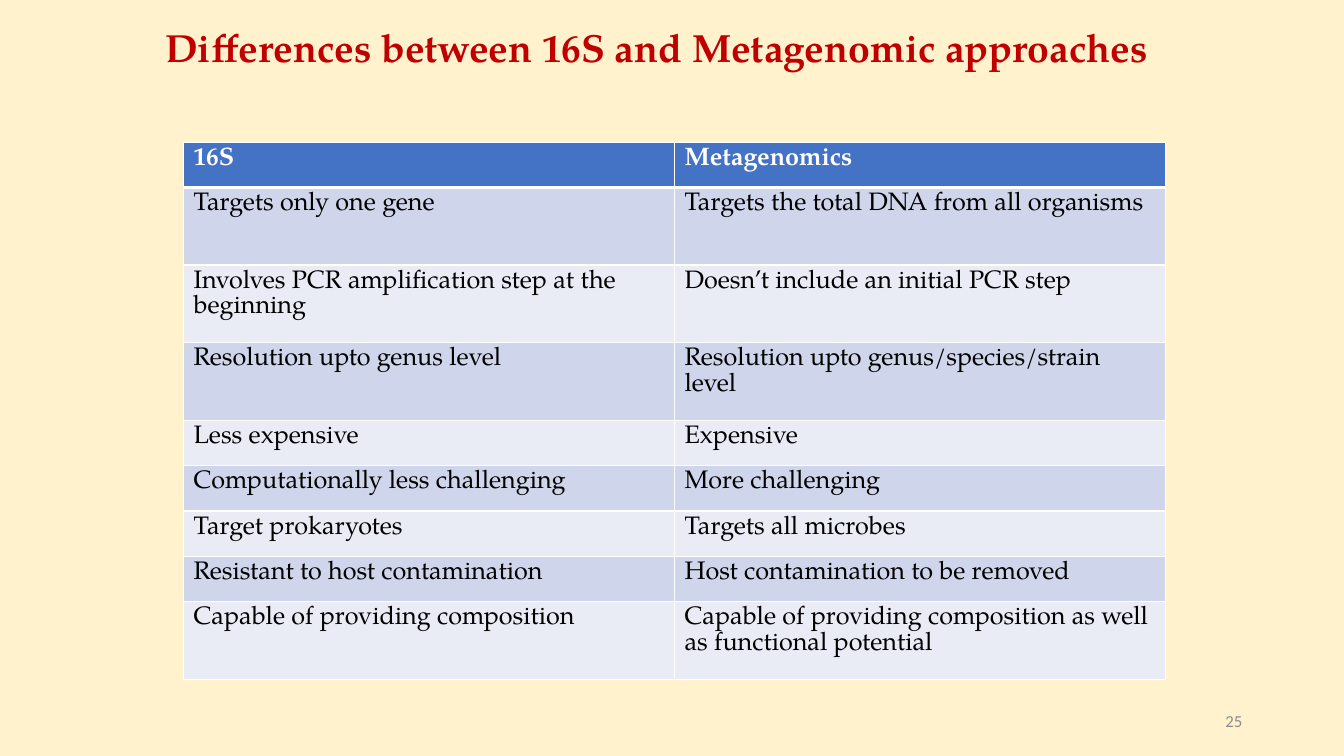
"""Build a slide comparing 16S and metagenomic approaches."""
import dataclasses

import lxml.etree
import pptx
import pptx.dml.color
import pptx.enum.text
import pptx.oxml.ns
import pptx.util
from pptx.util import Inches


@dataclasses.dataclass(frozen=True)
class Theme:
    """Colours, fonts and type sizes of the slide."""
    background: str = "FFF2CC"
    title: str = "C00000"
    header: str = "4472C4"
    bands: tuple = ("CFD5EA", "E9EBF5")
    white: str = "FFFFFF"
    body: str = "000000"
    muted: str = "8C8C8C"
    serif: str = "TeX Gyre Pagella"
    sans: str = "Calibri"
    title_size: int = 28
    table_size: int = 18
    number_size: int = 12


THEME = Theme()
SHORT, TALL = 0.45, 0.77
HEADINGS = ("16S", "Metagenomics")
COMPARISONS = (
    (TALL, "Targets only one gene", "Targets the total DNA from all organisms"),
    (TALL, "Involves PCR amplification step at the beginning", "Doesn’t include an initial PCR step"),
    (TALL, "Resolution upto genus level", "Resolution upto genus/species/strain level"),
    (SHORT, "Less expensive", "Expensive"),
    (SHORT, "Computationally less challenging", "More challenging"),
    (SHORT, "Target prokaryotes", "Targets all microbes"),
    (SHORT, "Resistant to host contamination", "Host contamination to be removed"),
    (TALL, "Capable of providing composition",
     "Capable of providing composition as well as functional potential"),
)


def rgb(code):
    """Turn a hex code into a colour."""
    return pptx.dml.color.RGBColor.from_string(code)


def paint(fill, code):
    """Make a fill solid in one colour."""
    fill.solid()
    fill.fore_color.rgb = rgb(code)


def add_span(para, text, size, color, font=THEME.serif, bold=False):
    """Add one formatted run to a paragraph."""
    span = para.add_run()
    span.text = text
    span.font.name = font
    span.font.size = pptx.util.Pt(size)
    span.font.bold = bold
    span.font.color.rgb = rgb(color)


def add_title(page, text):
    """Place and format the title placeholder."""
    title = page.shapes.title
    title.left, title.top = Inches(1.54), Inches(0.14)
    title.width, title.height = Inches(10.74), Inches(0.71)
    title.text_frame.vertical_anchor = pptx.enum.text.MSO_ANCHOR.MIDDLE
    para = title.text_frame.paragraphs[0]
    para.alignment = pptx.enum.text.PP_ALIGN.LEFT
    para.line_spacing = 0.9
    add_span(para, text, THEME.title_size, THEME.title, bold=True)


def add_borders(cell, top, bottom):
    """Draw white borders around a cell, widths in points."""
    properties = cell._tc.get_or_add_tcPr()
    for side, width in (("L", 1), ("R", 1), ("T", top), ("B", bottom)):
        line = lxml.etree.SubElement(
            properties, pptx.oxml.ns.qn(f"a:ln{side}"), w=str(pptx.util.Pt(width)))
        solid = lxml.etree.SubElement(line, pptx.oxml.ns.qn("a:solidFill"))
        lxml.etree.SubElement(solid, pptx.oxml.ns.qn("a:srgbClr"), val=THEME.white)


def add_comparison(page):
    """Add the banded comparison table."""
    rows = ((SHORT, *HEADINGS), *COMPARISONS)
    height = sum(row[0] for row in rows)
    table = page.shapes.add_table(
        len(rows), len(HEADINGS), Inches(1.82), Inches(1.41), Inches(9.74), Inches(height)).table
    for index, (row_height, *texts) in enumerate(rows):
        table.rows[index].height = Inches(row_height)
        is_header = index == 0
        for column, text in enumerate(texts):
            cell = table.cell(index, column)
            add_borders(cell, 3 if index == 1 else 1, 3 if is_header else 1)
            paint(cell.fill, THEME.header if is_header else THEME.bands[(index - 1) % 2])
            add_span(cell.text_frame.paragraphs[0], text, THEME.table_size,
                     THEME.white if is_header else THEME.body, bold=is_header)


def add_page_number(page, number):
    """Add the page number at the lower right."""
    box = page.shapes.add_textbox(Inches(9.42), Inches(6.95), Inches(3), Inches(0.4))
    box.text_frame.word_wrap = True
    box.text_frame.vertical_anchor = pptx.enum.text.MSO_ANCHOR.MIDDLE
    para = box.text_frame.paragraphs[0]
    para.alignment = pptx.enum.text.PP_ALIGN.RIGHT
    add_span(para, number, THEME.number_size, THEME.muted, THEME.sans)


def main():
    """Build and save the deck."""
    deck = pptx.Presentation()
    deck.slide_width, deck.slide_height = Inches(13.33), Inches(7.5)
    page = deck.slides.add_slide(deck.slide_layouts[5])
    paint(page.background.fill, THEME.background)
    add_title(page, "Differences between 16S and Metagenomic approaches")
    add_comparison(page)
    add_page_number(page, "25")
    deck.save("out.pptx")


if __name__ == "__main__":
    main()
